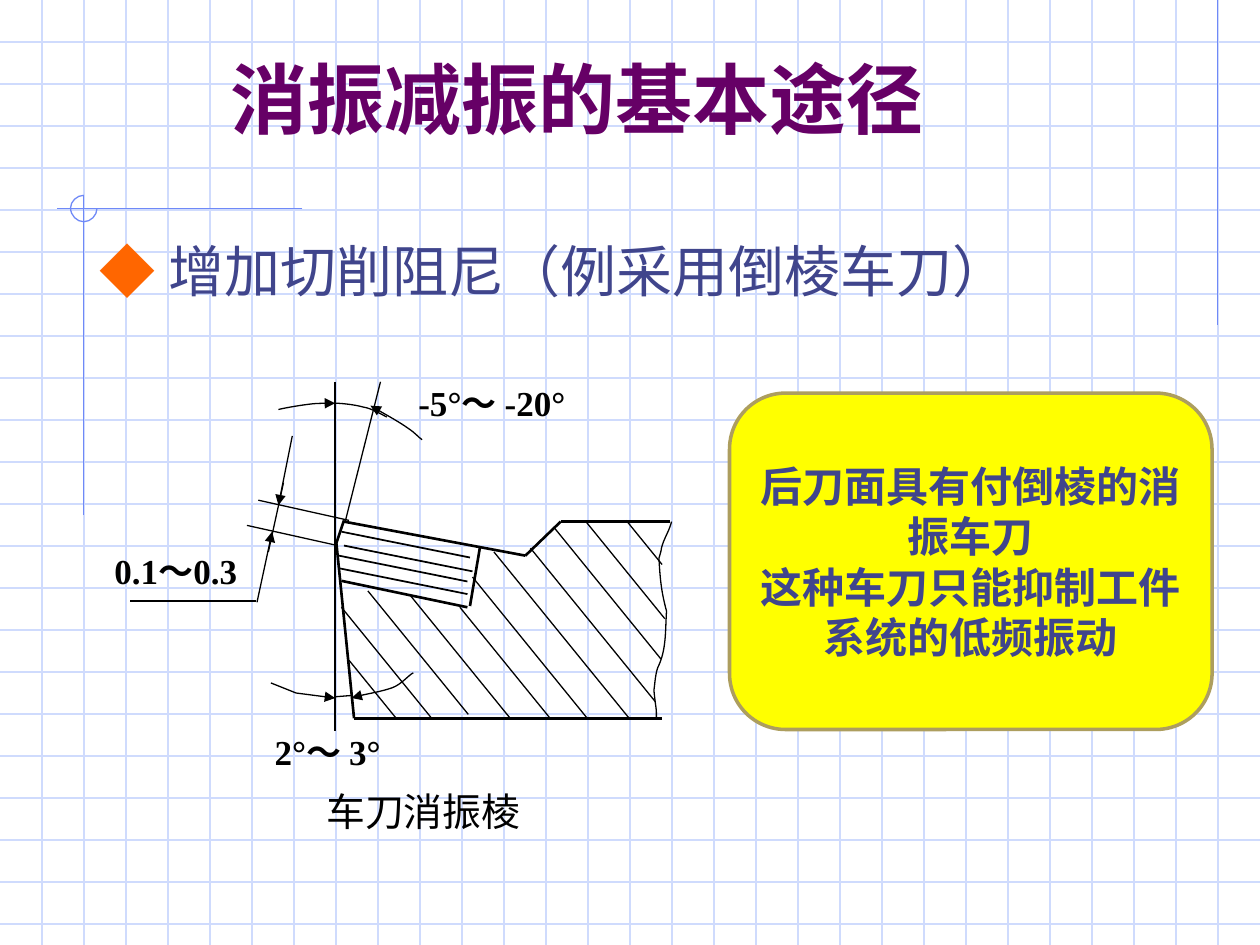
from dataclasses import dataclass
from lxml import etree
from pptx import Presentation
from pptx.dml.color import RGBColor
from pptx.enum.shapes import MSO_CONNECTOR, MSO_SHAPE
from pptx.enum.text import MSO_ANCHOR, MSO_AUTO_SIZE, PP_ALIGN
from pptx.oxml.ns import qn
from pptx.util import Inches, Pt

STRAIGHT = MSO_CONNECTOR.STRAIGHT
ROUNDED = MSO_SHAPE.ROUNDED_RECTANGLE
LEFT, CENTER, JUSTIFY = PP_ALIGN.LEFT, PP_ALIGN.CENTER, PP_ALIGN.JUSTIFY
MIDDLE, BOTTOM = MSO_ANCHOR.MIDDLE, MSO_ANCHOR.BOTTOM
NO_FIT = MSO_AUTO_SIZE.NONE

BLACK = RGBColor(0x00, 0x00, 0x00)
GRID_BLUE = RGBColor(0xCF, 0xDB, 0xFD)
ACCENT_BLUE = RGBColor(0x6F, 0x89, 0xF7)
TEXT_BLUE = RGBColor(0x40, 0x45, 0x8C)
ORANGE = RGBColor(0xFF, 0x66, 0x00)
PURPLE = RGBColor(0x66, 0x00, 0x66)
YELLOW = RGBColor(0xFF, 0xFF, 0x00)
TAN = RGBColor(0xAD, 0x9E, 0x5E)
SERIF = "Times New Roman"

# The slide is a grid of 100 columns by 75 rows of square cells
COLUMNS, ROWS = 100, 75
CELL = Inches(10) / COLUMNS
THIN, THICK = 0.75, 1.5

Point = tuple[float, float]


@dataclass
class Stroke:
    points: list[Point]
    color: RGBColor = BLACK
    width: float = THIN
    arrow: str = ""  # "headEnd" at the start, "tailEnd" at the end
    curved: bool = False  # points are a chain of cubic control points


@dataclass
class Span:
    text: str
    size: float
    color: RGBColor = BLACK
    font: str = SERIF
    bold: bool = False


@dataclass
class Label:
    area: tuple[float, float, float, float]
    spans: list[Span]
    align: PP_ALIGN = JUSTIFY
    spacing: float = 1.0
    inset: tuple[float, float] = (0, 0)


def cells(*values: float) -> list[int]:
    return [round(value * CELL) for value in values]


def bend(shape) -> None:
    """Join every three straight segments into one cubic curve."""
    lines = list(shape._element.iter(qn("a:lnTo")))
    for i in range(0, len(lines), 3):
        curve = etree.Element(qn("a:cubicBezTo"))
        lines[i].addprevious(curve)
        for line in lines[i:i + 3]:
            curve.append(line[0])
            line.getparent().remove(line)


def draw_stroke(shapes, stroke: Stroke) -> None:
    points = [cells(*point) for point in stroke.points]
    if len(points) == 2:
        shape = shapes.add_connector(STRAIGHT, *points[0], *points[1])
    else:
        builder = shapes.build_freeform(*points[0])
        builder.add_line_segments(points[1:], close=False)
        shape = builder.convert_to_shape()
        shape.fill.background()
    if stroke.curved:
        bend(shape)
    shape.line.color.rgb = stroke.color
    shape.line.width = Pt(stroke.width)
    if stroke.arrow:
        etree.SubElement(shape.get_or_add_ln(), qn(f"a:{stroke.arrow}"), type="triangle")
    etree.SubElement(shape._element.spPr, qn("a:effectLst"))


def add_span(para, span: Span) -> None:
    run = para.add_run()
    run.text = span.text
    run.font.name, run.font.size = span.font, Pt(span.size)
    run.font.bold, run.font.color.rgb = span.bold, span.color


def draw_label(shapes, label: Label) -> None:
    frame = shapes.add_textbox(*cells(*label.area)).text_frame
    frame.word_wrap = True
    frame.margin_left = frame.margin_right = cells(label.inset[0])[0]
    frame.margin_top = frame.margin_bottom = cells(label.inset[1])[0]
    para = frame.paragraphs[0]
    para.alignment, para.line_spacing = label.align, label.spacing
    for span in label.spans:
        add_span(para, span)


def draw_background(deck, page) -> None:
    """Draw the ruled paper as one group and move it to the slide master."""
    group = page.shapes.add_group_shape()
    step = 10 / 3
    for i in range(1, 23):
        draw_stroke(group.shapes, Stroke([(0, i * step), (COLUMNS, i * step)], GRID_BLUE))
    for i in range(1, 30):
        draw_stroke(group.shapes, Stroke([(i * step, 0), (i * step, ROWS)], GRID_BLUE))
    for points in ([(96.65, 0), (96.65, 25.8)], [(24, 16.55), (4.5, 16.55)],
                   [(6.65, 15.5), (6.65, 40.9)]):
        draw_stroke(group.shapes, Stroke(points, ACCENT_BLUE))
    ring = [(6.65, 15.5), (6.1, 15.5), (5.6, 16), (5.6, 16.5),
            (5.6, 17.1), (6.1, 17.6), (6.65, 17.6), (7.2, 17.6), (7.7, 17.1), (7.7, 16.55)]
    draw_stroke(group.shapes, Stroke(ring, ACCENT_BLUE, curved=True))
    for number, item in enumerate(group._element.iter(qn("p:cNvPr")), start=100):
        item.set("id", str(number))
    deck.slide_master.shapes._spTree.insert(2, group._element)


# Outline of the tool and of its insert
OUTLINE = [
    [(27.3, 41.4), (41.7, 44.1)], [(41.7, 44.1), (44.5, 41.4)], [(44.5, 41.4), (53.2, 41.4)],
    [(26.7, 43.1), (27.3, 41.3)], [(26.7, 43.1), (28.1, 57)], [(28.1, 57), (52.5, 57)],
    [(27.1, 46.1), (37.1, 48.2)], [(37.3, 48.1), (38.1, 43.4)],
]
# Starts of the insert's parallel lines, which share one run and drop
INSERT_STARTS = [(26.9, 44.1), (26.9, 45.1), (27.1, 42.2), (27.3, 43.3)]
INSERT_RUN, INSERT_DROP = 10.2, 2.05
# Hatching: start column, start row, end row, at one slope
HATCHING = [
    (27.7, 52.4, 57), (27.1, 48.2, 57), (29.2, 46.9, 56.7), (32.6, 47.3, 57.1),
    (36.5, 48.2, 57), (37.5, 45.8, 57), (42.1, 43.5, 55.7), (39.2, 43.8, 57),
    (46.5, 41.4, 49.1), (44, 41.9, 52.3), (49.7, 41.3, 44.8),
]
HATCH_SLOPE = 1.23
# Reference lines, dimension arrows and the break edge
DIMENSIONS = [
    Stroke([(20.4, 47.8), (21.6, 42.2)], arrow="tailEnd"),
    Stroke([(27.7, 41.3), (20.5, 39.7)]),
    Stroke([(26.8, 43.3), (19.6, 41.7)]),
    Stroke([(23.2, 34.6), (22.1, 40.1)], arrow="tailEnd"),
    Stroke([(22.5, 38.3), (21.3, 43.8)]),
    Stroke([(20.3, 47.7), (10.3, 47.7)]),
    Stroke([(27.4, 41.4), (30.2, 30.3)]),
    Stroke([(26.6, 30.3), (26.6, 58)]),
    Stroke([(27.9, 55.2), (26.6, 55.3)]),
    Stroke([(21.5, 54.2), (23.5, 55), (26.6, 55.4)], arrow="tailEnd"),
    Stroke([(27.9, 55.4), (28.4, 55.2), (30.2, 54.9), (31.1, 54.6),
            (31.9, 54.3), (32.4, 53.6), (32.8, 53.4)], arrow="headEnd", curved=True),
    Stroke([(22.1, 32.5), (22.5, 32.4), (23.6, 32.2), (24.4, 32.1),
            (25.1, 32), (26.1, 32), (26.6, 32)], arrow="tailEnd", curved=True),
    Stroke([(29.4, 32.2), (29.9, 32.5), (31.7, 33.5), (32.4, 34),
            (33, 34.4), (33.2, 34.7), (33.5, 34.9)], arrow="headEnd", curved=True),
    Stroke([(26.6, 32), (27, 32), (28.1, 32.1), (28.8, 32.3),
            (29.5, 32.4), (30.3, 32.9), (30.7, 33.1)], curved=True),
    Stroke([(53.3, 41.4), (53.1, 42.2), (52.7, 42.7), (52.5, 43.5), (52.5, 43.7),
            (52.3, 44.3), (52.3, 44.3), (52.4, 46.1), (52.5, 47), (52.9, 48.5),
            (52.8, 50.1), (52.9, 51.6), (52.2, 53), (52, 53.6), (52, 54.1),
            (51.9, 54.8), (52.1, 56.7), (52.1, 55.9), (52.1, 57.1)], curved=True),
]
TOOL_LABELS = [
    Label((16.4, 62.4, 34.4, 4.8), [Span("车刀消振棱", 22.2)], CENTER, 0.9, (1, 0.5)),
    Label((7.5, 43.3, 12.9, 3.6), [Span("0.1～0.3", 20, bold=True)], CENTER, 1.1),
    Label((33.2, 29.6, 19.1, 5.5), [Span("-5°～ -20°", 20, bold=True)], spacing=1.2),
    Label((21.8, 58, 16.2, 5.6), [Span("2°～ 3°", 20, bold=True)]),
]
HEADING = Label((7.9, 18.2, 75.2, 5.9), [
    Span("◆ ", 32, ORANGE), Span("增加切削阻尼（例采用倒棱车刀）", 32, TEXT_BLUE)], spacing=1.1)


def draw_tool(page) -> None:
    shapes = page.shapes.add_group_shape().shapes
    for points in OUTLINE:
        draw_stroke(shapes, Stroke(points, width=THICK))
    for x, y in INSERT_STARTS:
        draw_stroke(shapes, Stroke([(x, y), (x + INSERT_RUN, y + INSERT_DROP)], width=1))
    for x, top, bottom in HATCHING:
        end = (x + (bottom - top) / HATCH_SLOPE, bottom)
        draw_stroke(shapes, Stroke([(x, top), end]))
    for stroke in DIMENSIONS:
        draw_stroke(shapes, stroke)
    for label in TOOL_LABELS:
        draw_label(shapes, label)


def place_title(page) -> None:
    title = page.shapes.title
    title.left, title.top, title.width, title.height = cells(17.3, 2.95, 67.7, 9)
    frame = title.text_frame
    frame.vertical_anchor, frame.auto_size = BOTTOM, NO_FIT
    para = frame.paragraphs[0]
    para.alignment = LEFT
    add_span(para, Span("消振减振的基本途径", 44, PURPLE, "Roboto", True))


def draw_note(page) -> None:
    note = page.shapes.add_shape(ROUNDED, *cells(57.9, 31.2, 38.3, 26.7))
    note.shadow.inherit = False
    note.fill.solid()
    note.fill.fore_color.rgb = YELLOW
    note.line.color.rgb, note.line.width = TAN, Pt(2)
    frame = note.text_frame
    frame.word_wrap, frame.vertical_anchor = True, MIDDLE
    for i, text in enumerate(("后刀面具有付倒棱的消振车刀", "这种车刀只能抑制工件系统的低频振动")):
        para = frame.add_paragraph() if i else frame.paragraphs[0]
        para.alignment = CENTER
        add_span(para, Span(text, 24, TEXT_BLUE, "Vollkorn", True))


def main() -> None:
    deck = Presentation()
    deck.slide_width, deck.slide_height = cells(COLUMNS, ROWS)
    page = deck.slides.add_slide(deck.slide_layouts[5])
    draw_background(deck, page)
    draw_tool(page)
    draw_label(page.shapes, HEADING)
    place_title(page)
    draw_note(page)
    deck.save("out.pptx")


if __name__ == "__main__":
    main()
